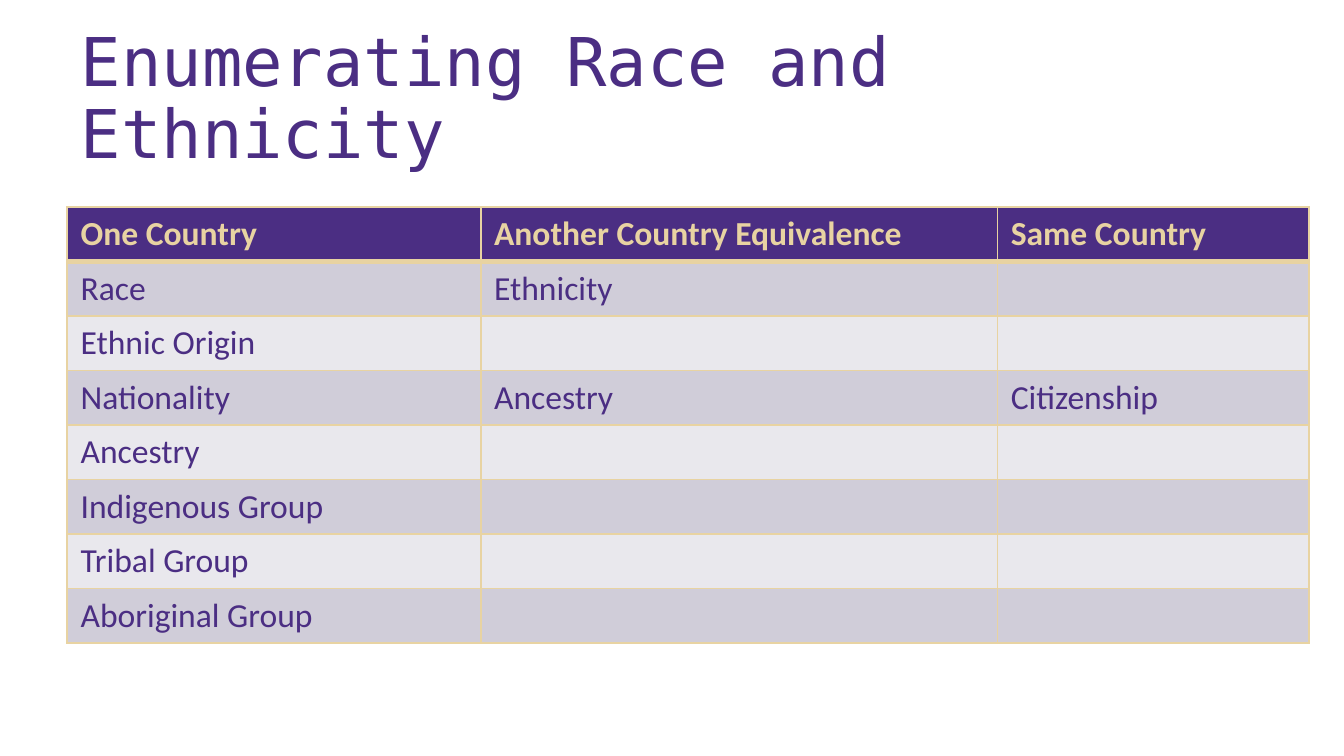
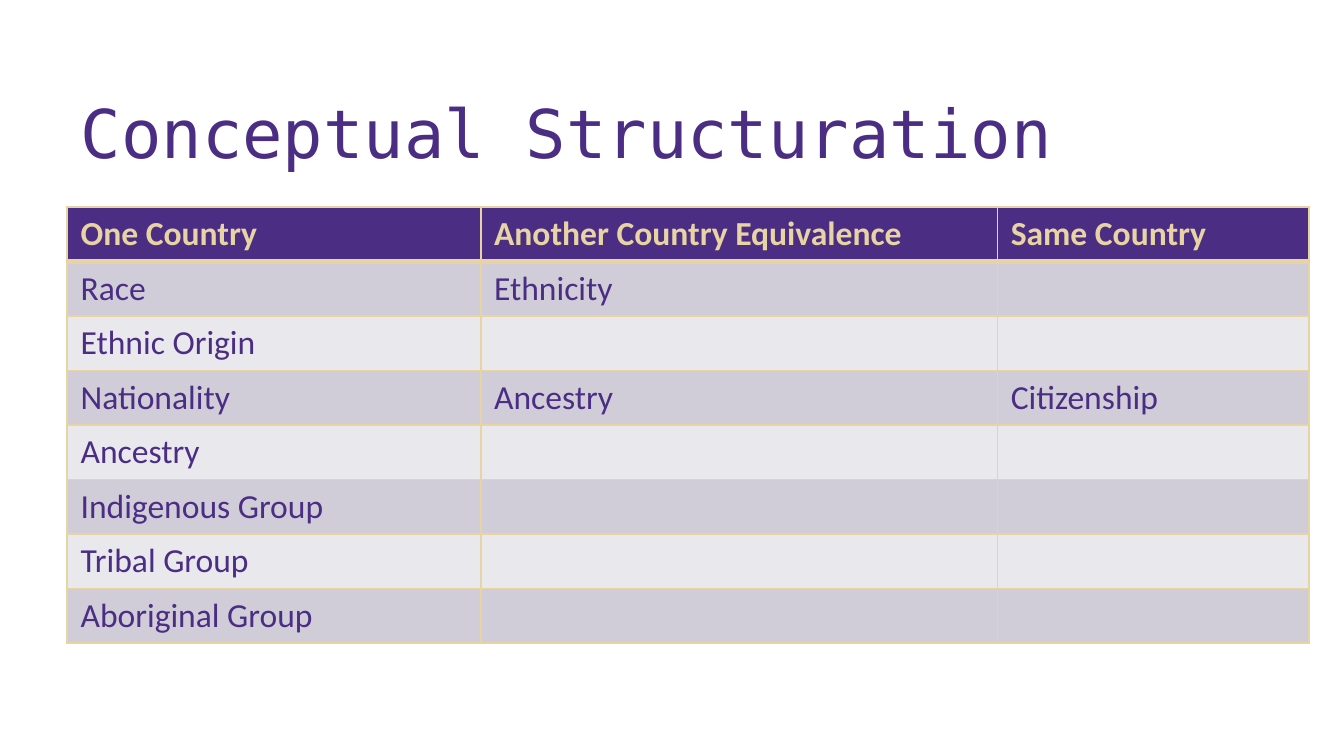
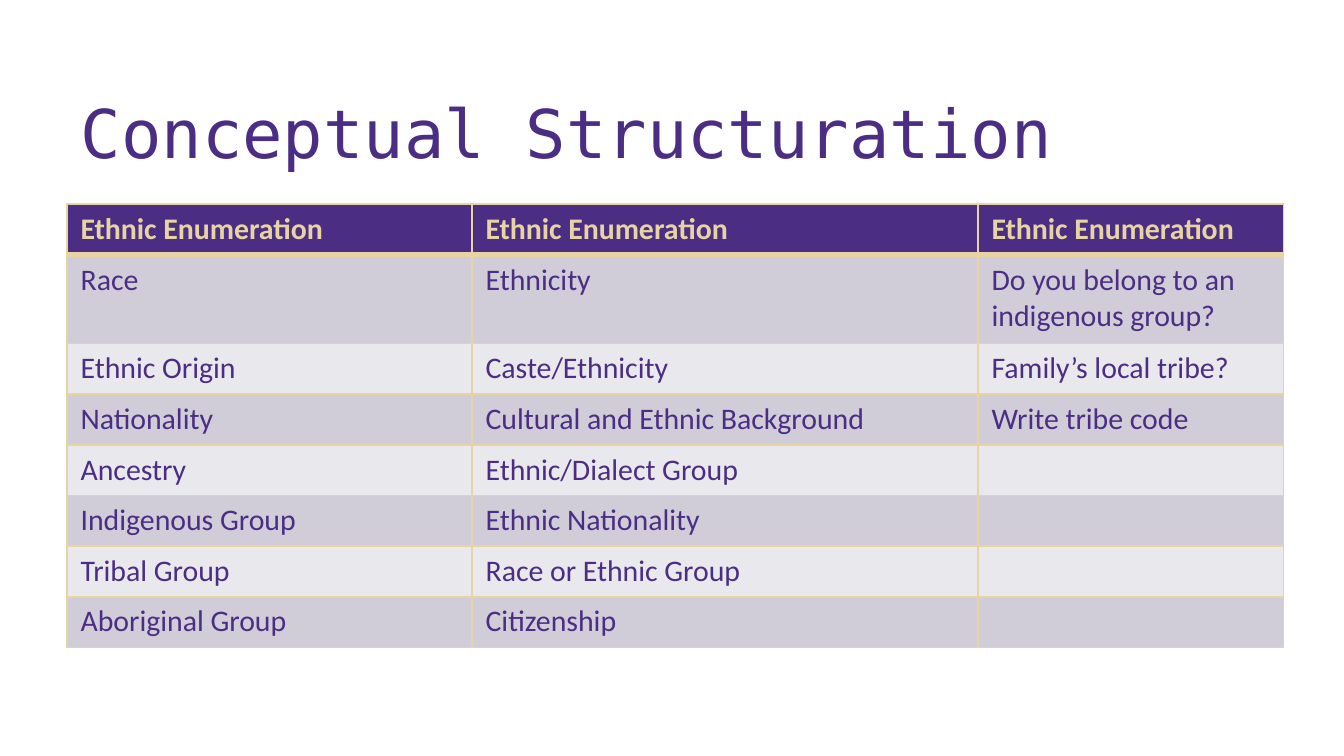
from dataclasses import dataclass

from lxml import etree
from pptx import Presentation
from pptx.dml.color import RGBColor
from pptx.enum.text import MSO_ANCHOR, MSO_AUTO_SIZE, PP_ALIGN
from pptx.oxml.ns import qn
from pptx.util import Inches, Pt

LEFT, BOTTOM = PP_ALIGN.LEFT, MSO_ANCHOR.BOTTOM
NO_FIT = MSO_AUTO_SIZE.NONE
TITLE_ONLY = 5

# Shared look, on a 16:9 slide
WIDTH = Inches(10)
HEIGHT = WIDTH * 9 // 16
MARGIN = Inches(0.5)
COLORS = {
    "purple": "4B2E83",
    "gold": "E8D3A2",
    "dark_band": "D0CDD9",
    "light_band": "E9E8ED",
}
TITLE_FONT, TABLE_FONT = "DejaVu Sans Mono", "Calibri"
COLUMN_SHARES = (0.333, 0.416, 0.251)
THIN, THICK = Pt(1), Pt(3)


@dataclass(frozen=True)
class TermTable:
    top: float
    width: float
    height: float
    size: int
    rows: tuple
    tall_rows: tuple = ()
    tall_height: float = 0.0

    def row_height(self, row: int) -> float:
        """Tall rows are fixed; the others share the rest equally."""
        if row in self.tall_rows:
            return self.tall_height
        rest = self.height - self.tall_height * len(self.tall_rows)
        return rest / (len(self.rows) - len(self.tall_rows))


# Content
TERMS = ("Race", "Ethnic Origin", "Nationality", "Ancestry",
         "Indigenous Group", "Tribal Group", "Aboriginal Group")


def with_terms(header: tuple, second: tuple, third: tuple) -> tuple:
    return (header, *zip(TERMS, second, third))


COUNTRIES = TermTable(
    top=1.54, width=9.24, height=3.24, size=18,
    rows=with_terms(
        ("One Country", "Another Country Equivalence", "Same Country"),
        ("Ethnicity", "", "Ancestry", "", "", "", ""),
        ("", "", "Citizenship", "", "", "", ""),
    ),
)
ENUMERATION = TermTable(
    top=1.52, width=9.05, height=3.3, size=16, tall_rows=(1,), tall_height=0.66,
    rows=with_terms(
        ("Ethnic Enumeration",) * 3,
        ("Ethnicity", "Caste/Ethnicity", "Cultural and Ethnic Background",
         "Ethnic/Dialect Group", "Ethnic Nationality", "Race or Ethnic Group",
         "Citizenship"),
        ("Do you belong to an indigenous group?", "Family’s local tribe?",
         "Write tribe code", "", "", "", ""),
    ),
)
SLIDES = (
    ("Enumerating Race and Ethnicity", COUNTRIES),
    ("Conceptual Structuration", COUNTRIES),
    ("Conceptual Structuration", ENUMERATION),
)


def rgb(name: str) -> RGBColor:
    return RGBColor.from_string(COLORS[name])


def add_title(s, text: str) -> None:
    sp = s.shapes.title
    sp.left, sp.top = MARGIN, Inches(0.25)
    sp.width, sp.height = Inches(8.95), Inches(1.09)
    tf = sp.text_frame
    tf.text = text
    tf.word_wrap, tf.auto_size, tf.vertical_anchor = True, NO_FIT, BOTTOM
    p = tf.paragraphs[0]
    p.alignment, p.line_spacing = LEFT, 0.9
    font = p.runs[0].font
    font.name, font.size = TITLE_FONT, Pt(36)
    font.color.rgb = rgb("purple")


def set_borders(cell, row: int) -> None:
    """Gold lines all round, heavier between the header and the body."""
    tc_pr = cell._tc.get_or_add_tcPr()
    for side in "LRTB":
        heavy = (row, side) in ((0, "B"), (1, "T"))
        ln = etree.SubElement(tc_pr, qn(f"a:ln{side}"), w=str(THICK if heavy else THIN))
        fill = etree.SubElement(ln, qn("a:solidFill"))
        etree.SubElement(fill, qn("a:srgbClr"), val=COLORS["gold"])


def format_cell(cell, text: str, row: int, size: int) -> None:
    set_borders(cell, row)
    band = "purple" if row == 0 else ("light_band", "dark_band")[row % 2]
    cell.fill.solid()
    cell.fill.fore_color.rgb = rgb(band)
    cell.text_frame.text = text
    p = cell.text_frame.paragraphs[0]
    for r in p.runs:
        r.font.name, r.font.size, r.font.bold = TABLE_FONT, Pt(size), row == 0
        r.font.color.rgb = rgb("gold" if row == 0 else "purple")
    if not text:
        # An empty cell still needs its size, or it stretches the row
        etree.SubElement(p._p, qn("a:endParaRPr"), sz=str(size * 100))


def add_terms(s, terms: TermTable) -> None:
    table = s.shapes.add_table(
        len(terms.rows), len(COLUMN_SHARES), MARGIN, Inches(terms.top),
        Inches(terms.width), Inches(terms.height)).table
    for column, share in zip(table.columns, COLUMN_SHARES):
        column.width = Inches(terms.width * share)
    for i, texts in enumerate(terms.rows):
        table.rows[i].height = Inches(terms.row_height(i))
        for j, text in enumerate(texts):
            format_cell(table.cell(i, j), text, i, terms.size)


def main() -> None:
    prs = Presentation()
    prs.slide_width, prs.slide_height = WIDTH, HEIGHT
    for title, terms in SLIDES:
        s = prs.slides.add_slide(prs.slide_layouts[TITLE_ONLY])
        add_title(s, title)
        add_terms(s, terms)
    prs.save("out.pptx")


if __name__ == "__main__":
    main()
